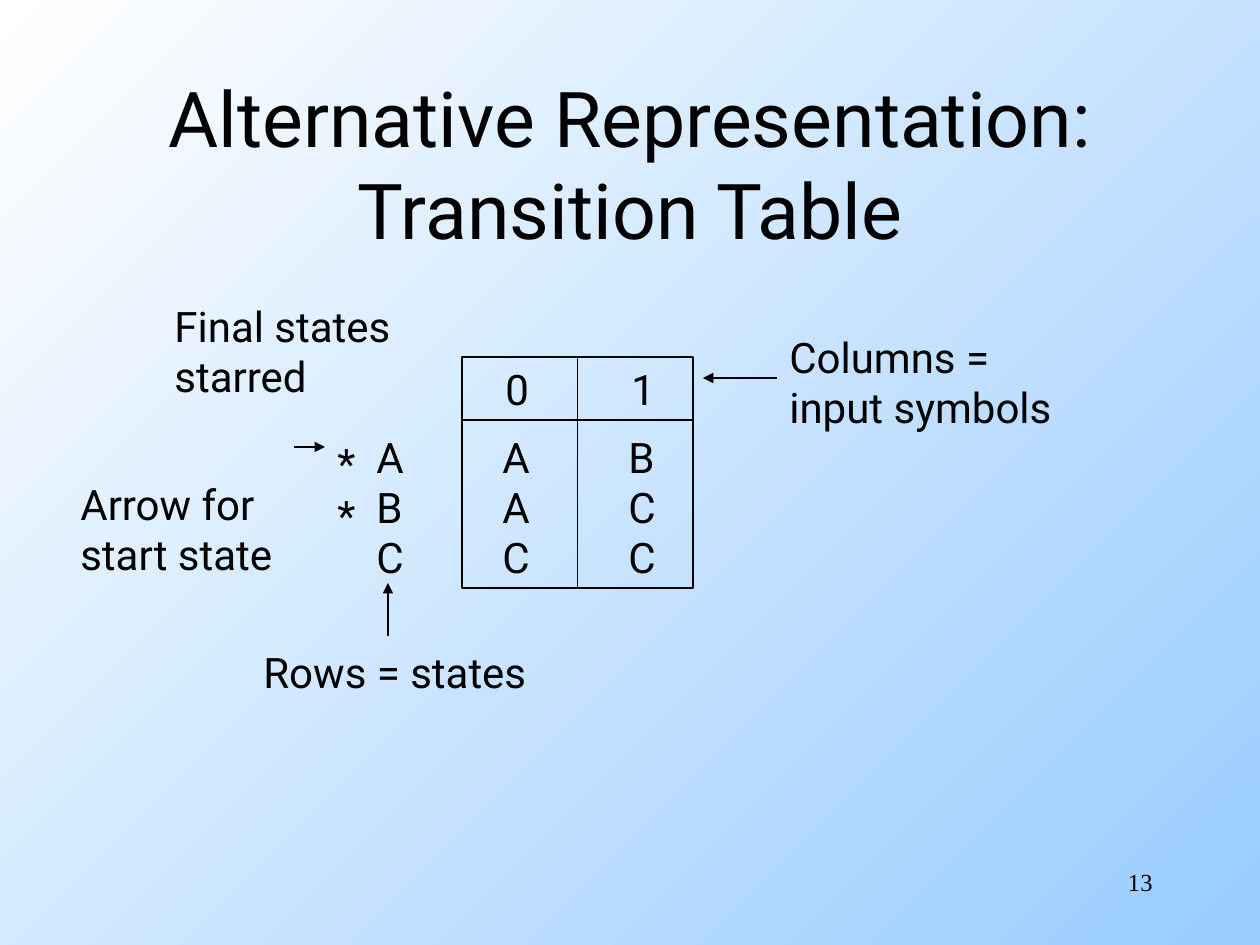
from dataclasses import dataclass

from lxml.etree import SubElement
from pptx import Presentation
from pptx.dml.color import RGBColor
from pptx.enum.shapes import MSO_CONNECTOR, MSO_SHAPE
from pptx.enum.text import MSO_ANCHOR, MSO_AUTO_SIZE as FIT, PP_ALIGN as AL
from pptx.oxml.ns import qn
from pptx.util import Emu, Pt


@dataclass(frozen=True)
class Theme:
    ink: RGBColor = RGBColor(0, 0, 0)
    bg_from: RGBColor = RGBColor(0xFF, 0xFF, 0xFF)
    bg_to: RGBColor = RGBColor(0x99, 0xCC, 0xFF)
    font: str = "Roboto"
    number_font: str = "Times New Roman"
    title: int = 44
    body: int = 24
    number: int = 14
    line: float = 0.75


T = Theme()
PX = 914400 / 126


def write(text, box, sp=None, size=T.body, font=T.font, align=AL.LEFT,
          anchor=MSO_ANCHOR.TOP, wrap=False, fit=FIT.SHAPE_TO_FIT_TEXT, tabs=()):
    """Fill sp, or a new text box, placed at box (px); one paragraph per line of text."""
    sp = sp or shapes.add_textbox(0, 0, 0, 0)
    sp.left, sp.top, sp.width, sp.height = [Emu(round(v * PX)) for v in box]
    tf = sp.text_frame
    tf.word_wrap, tf.auto_size, tf.vertical_anchor = wrap, fit, anchor
    tf.text = text
    for p in tf.paragraphs:
        p.alignment = align
        if tabs:
            stops = SubElement(p._p.get_or_add_pPr(), qn("a:tabLst"))
            for x in tabs:
                SubElement(stops, qn("a:tab"), pos=str(round(x * PX)), algn="l")
        for r in p.runs:
            r.font.size, r.font.name = Pt(size), font
            r.font.color.rgb = T.ink
    return sp


def draw_line(ends, arrow=False):
    ln = shapes.add_connector(MSO_CONNECTOR.STRAIGHT, *[Emu(round(v * PX)) for v in ends])
    ln.line.color.rgb, ln.line.width = T.ink, Pt(T.line)
    if arrow:
        SubElement(ln.line._get_or_add_ln(), qn("a:tailEnd"), type="triangle")
    SubElement(ln._element.spPr, qn("a:effectLst"))
    return ln


prs = Presentation()
prs.slide_width, prs.slide_height = Emu(round(1260 * PX)), Emu(round(945 * PX))
slide = prs.slides.add_slide(prs.slide_layouts[5])
shapes = slide.shapes

fill = slide.background.fill
fill.gradient()
fill.gradient_angle = 315
for stop, colour in zip(fill.gradient_stops, (T.bg_from, T.bg_to)):
    stop.color.rgb = colour

write("Alternative Representation: Transition Table", (95, 84, 1071, 158), sp=shapes.title,
      size=T.title, align=AL.CENTER, anchor=MSO_ANCHOR.MIDDLE, wrap=True, fit=FIT.NONE)
write("13", (903, 861, 262, 63), size=T.number, font=T.number_font,
      align=AL.RIGHT, wrap=True, fit=FIT.NONE)

# Transition table: frame, header rule, column rule
left, top, side, header = 462, 357, 231, 63
frame = shapes.add_shape(MSO_SHAPE.RECTANGLE, *[Emu(round(v * PX)) for v in (left, top, side, side)])
frame.shadow.inherit = False
frame.fill.background()
frame.line.color.rgb, frame.line.width = T.ink, Pt(T.line)
draw_line((left, top + header, left + side, top + header))
middle = left + side / 2
column_rule = draw_line((middle, top, middle, top + side))
column_rule.begin_connect(frame, 0)
column_rule.end_connect(frame, 2)

# State names stand left of the frame; the box leaves room for the last column
column = 126
for i, symbol in enumerate("01"):
    write(symbol, (493 + i * column, top, 49, header))
write("A\tA\tB\nB\tA\tC\nC\tC\tC", (364, 425, 320, 164), tabs=(column, 2 * column))

# Each note: its texts with their boxes, then its arrow if it has one
notes = [
    ([("Rows = states", (251, 640, 294, 63))], (388, 636, 388, 583)),
    ([("Columns =\ninput symbols", (777, 325, 302, 113))], (777, 378, 703, 378)),
    ([("Final states\nstarred", (162, 294, 247, 113)),
      ("*", (325, 431, 48, 63)), ("*", (325, 483, 48, 63))], None),
    ([("Arrow for\nstart state", (68, 472, 224, 113))], (294, 447, 325, 447)),
]
for texts, arrow in notes:
    members = [write(text, box) for text, box in texts]
    if arrow:
        members.append(draw_line(arrow, arrow=True))
    shapes.add_group_shape(members)

prs.save("out.pptx")
